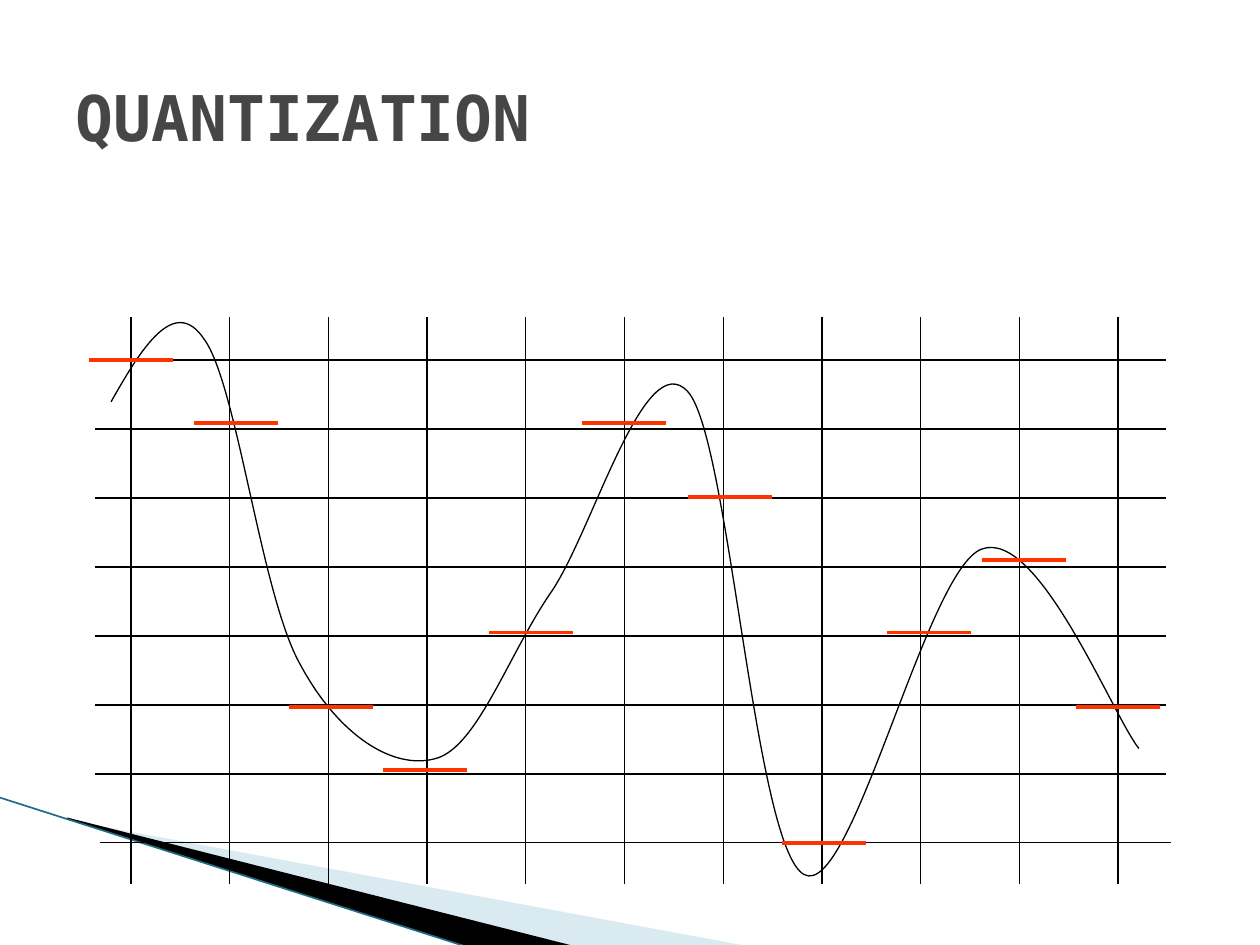
from lxml import etree
from pptx import Presentation
from pptx.dml.color import RGBColor as RGB
from pptx.enum.shapes import MSO_CONNECTOR as CONN
from pptx.enum.text import MSO_ANCHOR as ANCHOR, PP_ALIGN as ALIGN
from pptx.oxml.ns import qn
from pptx.util import Cm, Pt

COLORS = {"title": "464646", "ink": "000000", "level": "FF3300",
          "pale": "A0CBDC", "teal": "1B6F82"}
FONT = "DejaVu Sans Mono"

# Centimetres from the top left corner of the plot
ROWS, ROW_TOP, ROW_STEP = 8, 0.86, 1.39
COLS, COL_LEFT, COL_STEP = 11, 0.84, 1.99
ROW_LEFT, ROW_WIDTH = 0.11, 21.59
LEVEL_WIDTH = 1.69
LEVELS = [(0, 0.86), (2.11, 2.13), (4.02, 7.85), (5.92, 9.12),
          (8.06, 6.35), (9.93, 2.13), (12.07, 3.61), (13.97, 10.59),
          (16.08, 6.35), (17.99, 4.88), (19.89, 7.85)]
# Start point, then two control points and an end point for each segment
SIGNAL = [(0.44, 1.7),
          (1.04, 0.64), (1.71, -0.46), (2.31, 0.43),
          (2.98, 1.32), (3.46, 5.59), (4.25, 6.99),
          (5.01, 8.41), (6.12, 9.14), (6.99, 8.89),
          (7.83, 8.66), (8.46, 6.76), (9.33, 5.51),
          (10.16, 4.27), (11.2, 0.53), (12.07, 1.5),
          (12.91, 2.44), (13.41, 10.69), (14.41, 11.23),
          (15.37, 11.76), (16.87, 5.08), (17.99, 4.67),
          (19.13, 4.24), (20.63, 8.03), (21.16, 8.69)]


def add_line(s, x1, y1, x2, y2, color, width=0.75):
    line = s.shapes.add_connector(CONN.STRAIGHT, Cm(x1), Cm(y1), Cm(x2), Cm(y2))
    line.line.color.rgb = RGB.from_string(COLORS[color])
    line.line.width = Pt(width)
    etree.SubElement(line._element.spPr, qn("a:effectLst"))


def add_outline(s, left, top, points, close):
    pts = [(Cm(left + x), Cm(top + y)) for x, y in points]
    builder = s.shapes.build_freeform(*pts[0], scale=1.0)
    builder.add_line_segments(pts[1:], close=close)
    sp = builder.convert_to_shape()
    sp.shadow.inherit = False
    return sp


def add_wedge(s, left, top, points, color, alpha=100):
    sp = add_outline(s, left, top, points, close=True)
    sp.line.fill.background()
    sp.fill.solid()
    sp.fill.fore_color.rgb = RGB.from_string(COLORS[color])
    if alpha < 100:
        clr = sp._element.spPr.find(".//" + qn("a:srgbClr"))
        etree.SubElement(clr, qn("a:alpha")).set("val", str(alpha * 1000))


def add_curve(s, left, top, points):
    """Draw joined cubic segments through every third point."""
    sp = add_outline(s, left, top, points, close=False)
    sp.fill.background()
    sp.line.color.rgb = RGB.from_string(COLORS["ink"])
    sp.line.width = Pt(0.75)
    path = sp._element.spPr.find(".//" + qn("a:path"))
    steps = path.findall(qn("a:lnTo"))
    for i in range(0, len(steps), 3):
        cubic = etree.SubElement(path, qn("a:cubicBezTo"))
        for step in steps[i:i + 3]:
            cubic.append(step[0])
            path.remove(step)


def add_corner(s, left, top):
    add_wedge(s, left, top, [(1.4, 0.46), (15.11, 3), (11.58, 3), (1.4, 0.43)],
              "pale", alpha=40)
    add_wedge(s, left, top, [(1.35, 0.4), (11.61, 3), (9.45, 3.02), (1.37, 0.43)],
              "ink")
    add_line(s, left, top, left + 9.45, top + 3.02, "teal", 0.95)


def add_title(s, left, top, width, height):
    title = s.shapes.title
    title.left, title.top = Cm(left), Cm(top)
    title.width, title.height = Cm(width), Cm(height)
    tf = title.text_frame
    tf.text = "QUANTIZATION"
    tf.vertical_anchor = ANCHOR.MIDDLE
    p = tf.paragraphs[0]
    p.alignment = ALIGN.LEFT
    font = p.runs[0].font
    font.name, font.size, font.bold = FONT, Pt(36), True
    font.color.rgb = RGB.from_string(COLORS["title"])


def add_plot(s, left, top, height):
    for row in range(ROWS):
        x = left + ROW_LEFT + (0.1 if row == ROWS - 1 else 0)
        y = top + ROW_TOP + row * ROW_STEP
        add_line(s, x, y, x + ROW_WIDTH, y, "ink")
    for col in range(COLS):
        x = left + COL_LEFT + col * COL_STEP
        add_line(s, x, top, x, top + height, "ink")
    add_curve(s, left, top, SIGNAL)
    for x, y in LEVELS:
        add_line(s, left + x, top + y, left + x + LEVEL_WIDTH, top + y,
                 "level", 2.25)


def main():
    prs = Presentation()
    prs.slide_width, prs.slide_height = Cm(25.4), Cm(19.05)
    s = prs.slides.add_slide(prs.slide_layouts[5])
    add_corner(s, 0, 16.08)
    add_title(s, 1.27, 0.76, 22.86, 3.18)
    add_plot(s, 1.8, 6.4, 11.43)
    prs.save("out.pptx")


if __name__ == "__main__":
    main()
